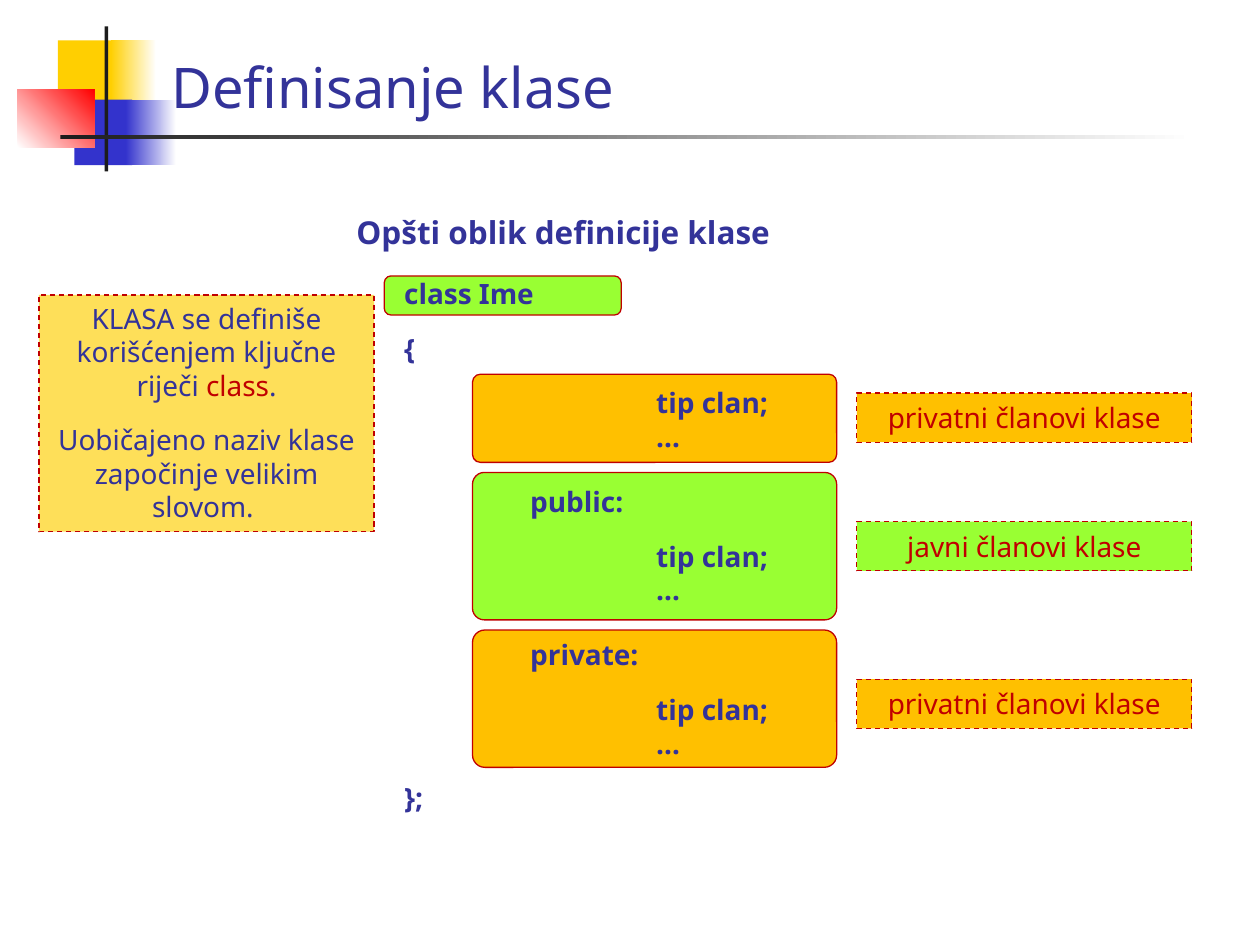
"""Build the slide that explains the general form of a class definition."""
import pptx
import pptx.dml.color
import pptx.enum.dml
import pptx.enum.shapes
import pptx.enum.text
import pptx.util

Inches = pptx.util.Inches
Pt = pptx.util.Pt
SHAPES = pptx.enum.shapes.MSO_SHAPE
ALIGN = pptx.enum.text.PP_ALIGN
ANCHOR = pptx.enum.text.MSO_ANCHOR
COLORS = {
    name: pptx.dml.color.RGBColor.from_string(value)
    for name, value in {
        "white": "FFFFFF", "gold": "FFCF01", "blue": "3333CC", "red": "FF0000",
        "black": "1C1C1C", "orange": "FFC000", "green": "99FF33",
        "yellow": "FEDF59", "crimson": "C00000", "navy": "333399",
    }.items()
}

deck = pptx.Presentation()
deck.slide_width = Inches(10)
deck.slide_height = Inches(7.5)
page = deck.slides.add_slide(deck.slide_layouts[6])


def add_panel(place, fill, kind=SHAPES.RECTANGLE, outlined=False, dashed=False):
    """Add a solid shape, with a crimson outline if asked."""
    panel = page.shapes.add_shape(kind, *map(Inches, place))
    panel.shadow.inherit = False
    panel.fill.solid()
    panel.fill.fore_color.rgb = COLORS[fill]
    if outlined:
        panel.line.color.rgb = COLORS["crimson"]
        panel.line.width = Pt(0.75)
        if dashed:
            panel.line.dash_style = pptx.enum.dml.MSO_LINE.DASH
    else:
        panel.line.fill.background()
    return panel


def write(shape, lines, anchor=ANCHOR.TOP, align=ALIGN.LEFT):
    """Fill a shape with lines of (runs, size, bold, space before, indent)."""
    frame = shape.text_frame
    frame.word_wrap = True
    frame.vertical_anchor = anchor
    for number, (runs, size, bold, before, indent) in enumerate(lines):
        para = frame.add_paragraph() if number else frame.paragraphs[0]
        para.alignment = align
        para.space_before = Pt(before)
        para._p.get_or_add_pPr().set("marL", str(Inches(indent)))
        for text, color in runs:
            span = para.add_run()
            span.text = text
            span.font.name = "Noto Sans"
            span.font.size = Pt(size)
            span.font.bold = bold
            span.font.color.rgb = COLORS[color]


for place, start, end, angle in [
    ((0.46, 0.32, 0.48, 0.52), "gold", None, 0),
    ((0.88, 0.32, 0.36, 0.52), "gold", "white", 0),
    ((0.59, 0.79, 0.46, 0.52), "blue", None, 0),
    ((1, 0.79, 0.4, 0.52), "blue", "white", 0),
    ((0.14, 0.71, 0.61, 0.46), "white", "red", 45),
    ((0.83, 0.21, 0.03, 1.15), "black", None, 0),
    ((0.48, 1.07, 9, 0.03), "black", "white", 0),
]:
    ornament = add_panel(place, start)
    if end:
        ornament.fill.gradient()
        ornament.fill.gradient_angle = angle
        for stop, color in zip(ornament.fill.gradient_stops, (start, end)):
            stop.color.rgb = COLORS[color]

for place, fill, corner in [
    ((3.75, 2.97, 2.89, 0.7), "orange", 0.09),
    ((3.75, 5, 2.89, 1.09), "orange", 0.09),
    ((3.75, 3.75, 2.89, 1.17), "green", 0.08),
    ((3.05, 2.19, 1.88, 0.31), "green", 0.17),
]:
    section = add_panel(place, fill, SHAPES.ROUNDED_RECTANGLE, outlined=True)
    section.adjustments[0] = corner

title = page.shapes.add_textbox(Inches(1.26), Inches(0.13), Inches(8.52), Inches(0.87))
write(title, [([("Definisanje klase", "navy")], 32, False, 0, 0)], ANCHOR.BOTTOM)

note = add_panel((0.31, 2.34, 2.66, 1.88), "yellow", outlined=True, dashed=True)
note_lines = [
    ([("KLASA se definiše korišćenjem ključne riječi ", "navy"),
      ("class", "crimson"), (".", "navy")], 16, False, 0, 0),
    ([("Uobičajeno naziv klase započinje velikim slovom. ", "navy")], 16, False, 12, 0),
]
write(note, note_lines, align=ALIGN.CENTER)

members = [("tip clan;", 12, 2), ("…", 0, 2)]
code = [
    ("class Ime", 15, 0), ("{", 12, 0), *members,
    ("public:", 18, 1), *members,
    ("private:", 18, 1), *members,
    ("};", 12, 0),
]
code_lines = [([("Opšti oblik definicije klase", "navy")], 18, True, 0, 0)]
for text, before, level in code:
    code_lines.append(([(text, "navy")], 16, True, before, 0.38 + level))
listing = page.shapes.add_textbox(Inches(2.73), Inches(1.64), Inches(3.52), Inches(4.7))
write(listing, code_lines)

for top, text, fill in [
    (4.14, "javni članovi klase", "green"),
    (5.39, "privatni članovi klase", "orange"),
    (3.12, "privatni članovi klase", "orange"),
]:
    label = add_panel((6.8, top, 2.66, 0.39), fill, outlined=True, dashed=True)
    write(label, [([(text, "crimson")], 16, False, 0, 0)], ANCHOR.MIDDLE, ALIGN.CENTER)

deck.save("out.pptx")
